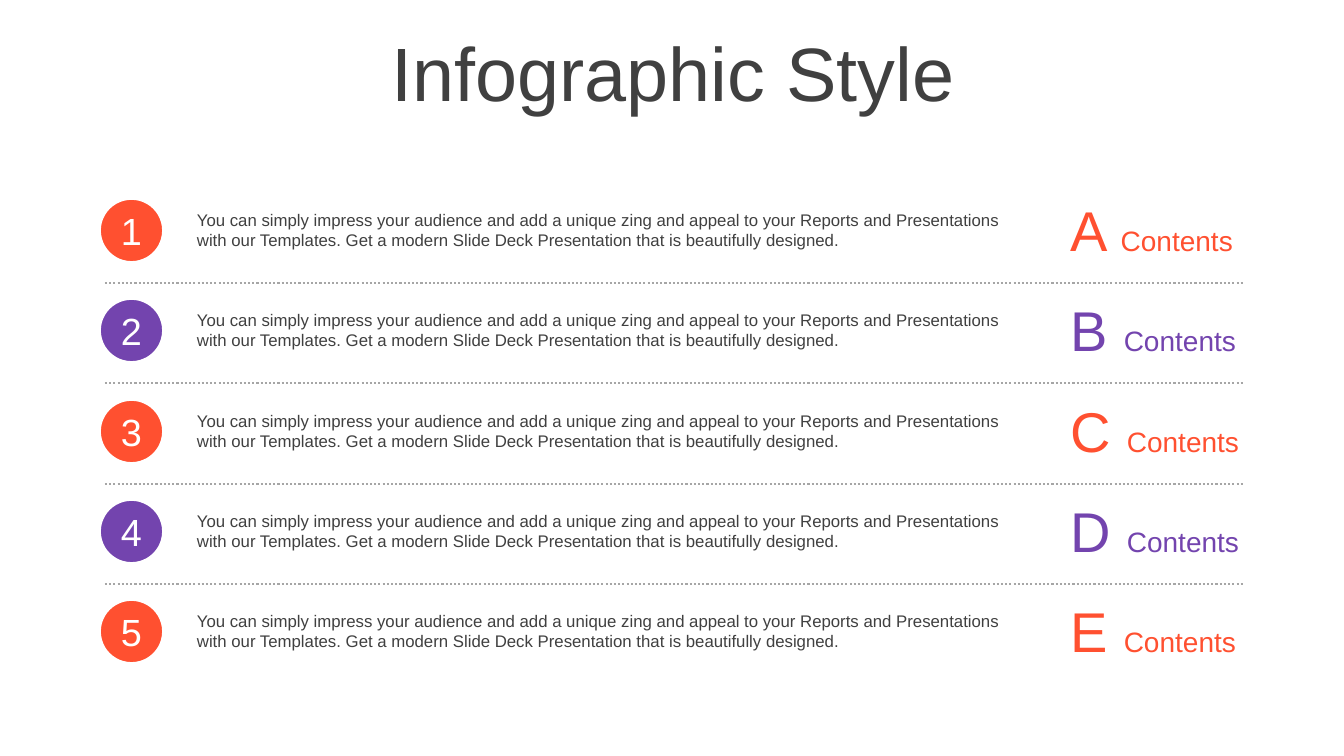
from pptx import Presentation
from pptx.dml.color import RGBColor
from pptx.enum.dml import MSO_LINE
from pptx.enum.shapes import MSO_CONNECTOR, MSO_SHAPE
from pptx.enum.text import MSO_ANCHOR, MSO_AUTO_SIZE, PP_ALIGN
from pptx.oxml.ns import qn
from pptx.util import Pt
from lxml import etree

OVAL = MSO_SHAPE.OVAL
STRAIGHT = MSO_CONNECTOR.STRAIGHT
DOTTED = MSO_LINE.ROUND_DOT
MIDDLE = MSO_ANCHOR.MIDDLE
CENTER, LEFT = PP_ALIGN.CENTER, PP_ALIGN.LEFT
FIXED, GROW = MSO_AUTO_SIZE.NONE, MSO_AUTO_SIZE.SHAPE_TO_FIT_TEXT

EMU_PER_PX = 914400 / 100.8
ORANGE, PURPLE = "FF5030", "7344AE"
WHITE, DARK, GRAY = "FFFFFF", "404040", "A6A6A6"
ROW_PITCH = 100.3
DESCRIPTION = (
    "You can simply impress your audience and add a unique zing and appeal "
    "to your Reports and Presentations with our Templates. Get a modern "
    "Slide Deck Presentation that is beautifully designed."
)


def px(*lengths):
    return [round(length * EMU_PER_PX) for length in lengths]


def color(hex_string):
    return RGBColor.from_string(hex_string)


class SlideBuilder:
    """Holds the text style and the slide being filled."""

    font_name = "Arial"

    def __init__(self, presentation):
        self.slide = presentation.slides.add_slide(presentation.slide_layouts[5])

    def fill_text(self, shape, runs, text_color, frame_format, paragraph_format):
        frame = shape.text_frame
        for name, value in {"word_wrap": True, **frame_format}.items():
            setattr(frame, name, value)
        paragraph = frame.paragraphs[0]
        for name, value in paragraph_format.items():
            setattr(paragraph, name, value)
        for text, size in runs:
            run = paragraph.add_run()
            run.text = text
            for name, value in {"name": self.font_name, "size": Pt(size)}.items():
                setattr(run.font, name, value)
            run.font.color.rgb = color(text_color)

    def title(self, text, box, size):
        shape = self.slide.shapes.title
        shape.left, shape.top, shape.width, shape.height = px(*box)
        self.fill_text(shape, [(text, size)], DARK,
                       {"auto_size": FIXED, "vertical_anchor": MIDDLE},
                       {"alignment": CENTER, "line_spacing": 0.9, "space_before": Pt(0)})

    def text(self, runs, box, text_color):
        shape = self.slide.shapes.add_textbox(*px(*box))
        self.fill_text(shape, runs, text_color, {"auto_size": GROW}, {"alignment": LEFT})

    def badge(self, text, box, fill):
        shape = self.slide.shapes.add_shape(OVAL, *px(*box))
        shape.shadow.inherit = False
        shape.fill.solid()
        shape.fill.fore_color.rgb = color(fill)
        shape.line.color.rgb = color(WHITE)
        shape.line.width = Pt(1.25)
        self.fill_text(shape, [(text, 27)], WHITE,
                       {"vertical_anchor": MIDDLE}, {"alignment": CENTER})

    def divider(self, left, right, y):
        connector = self.slide.shapes.add_connector(STRAIGHT, *px(left, y, right, y))
        connector.line.color.rgb = color(GRAY)
        connector.line.width = Pt(1.5)
        connector.line.dash_style = DOTTED
        properties = connector._element.find(qn("p:spPr"))
        etree.SubElement(properties, qn("a:effectLst"))


def main():
    presentation = Presentation()
    presentation.slide_width, presentation.slide_height = px(1344, 756)
    builder = SlideBuilder(presentation)

    # Heading
    builder.title("Infographic Style", (35, 37, 1276, 80), 54)

    # Numbered rows, with a dotted divider between neighbours
    letters = "ABCDE"
    for row, letter in enumerate(letters):
        offset = round(row * ROW_PITCH)
        accent = PURPLE if row % 2 else ORANGE
        builder.badge(str(row + 1), (100, 199 + offset, 63, 63), accent)
        builder.text([(DESCRIPTION, 12)], (187, 205 + offset, 827, 50), DARK)
        builder.text([(letter + " ", 40), ("Contents", 20)],
                     (1061, 191 + offset, 192, 78), accent)
        if row < len(letters) - 1:
            builder.divider(105, 1244, 283 + offset)

    presentation.save("out.pptx")


if __name__ == "__main__":
    main()
